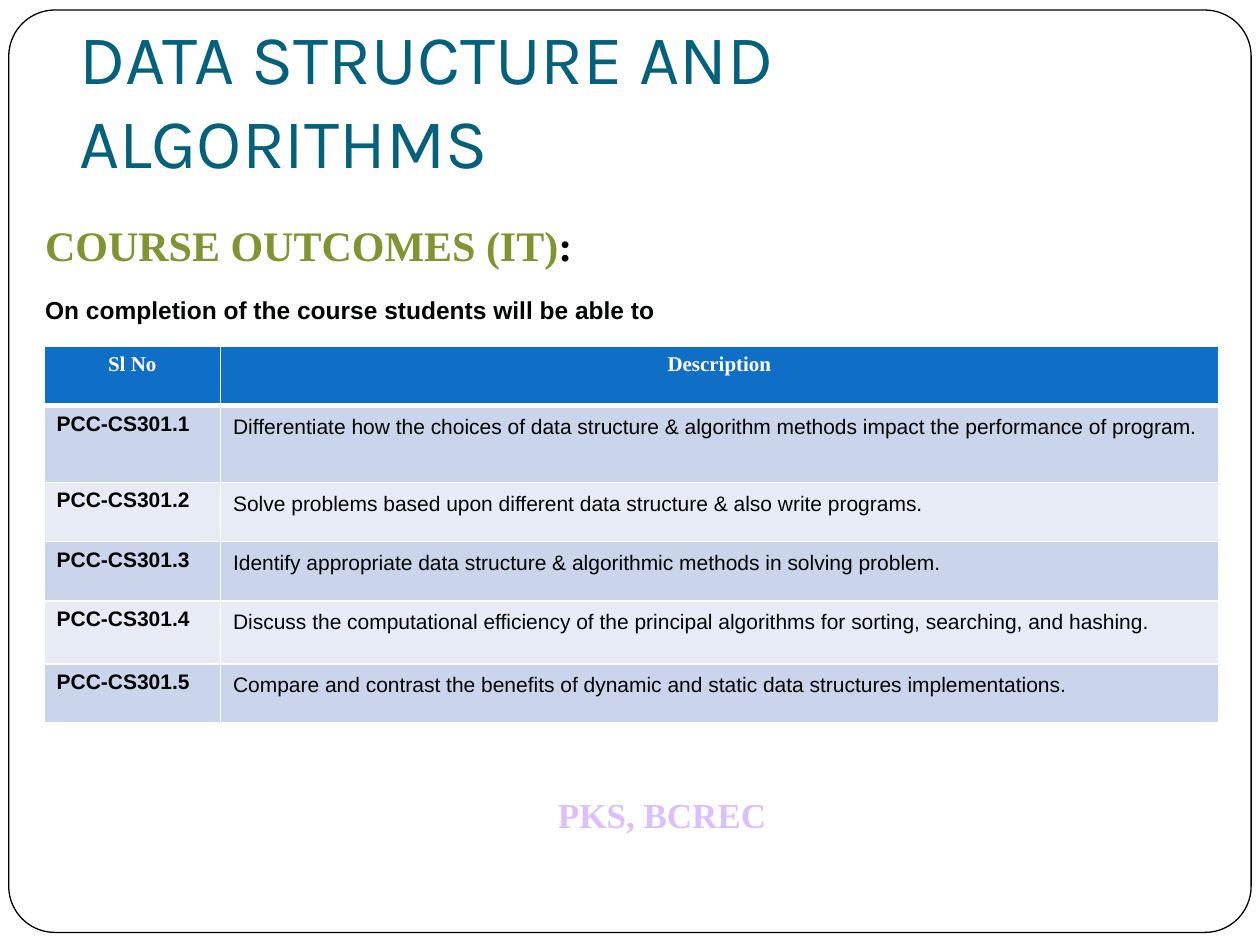
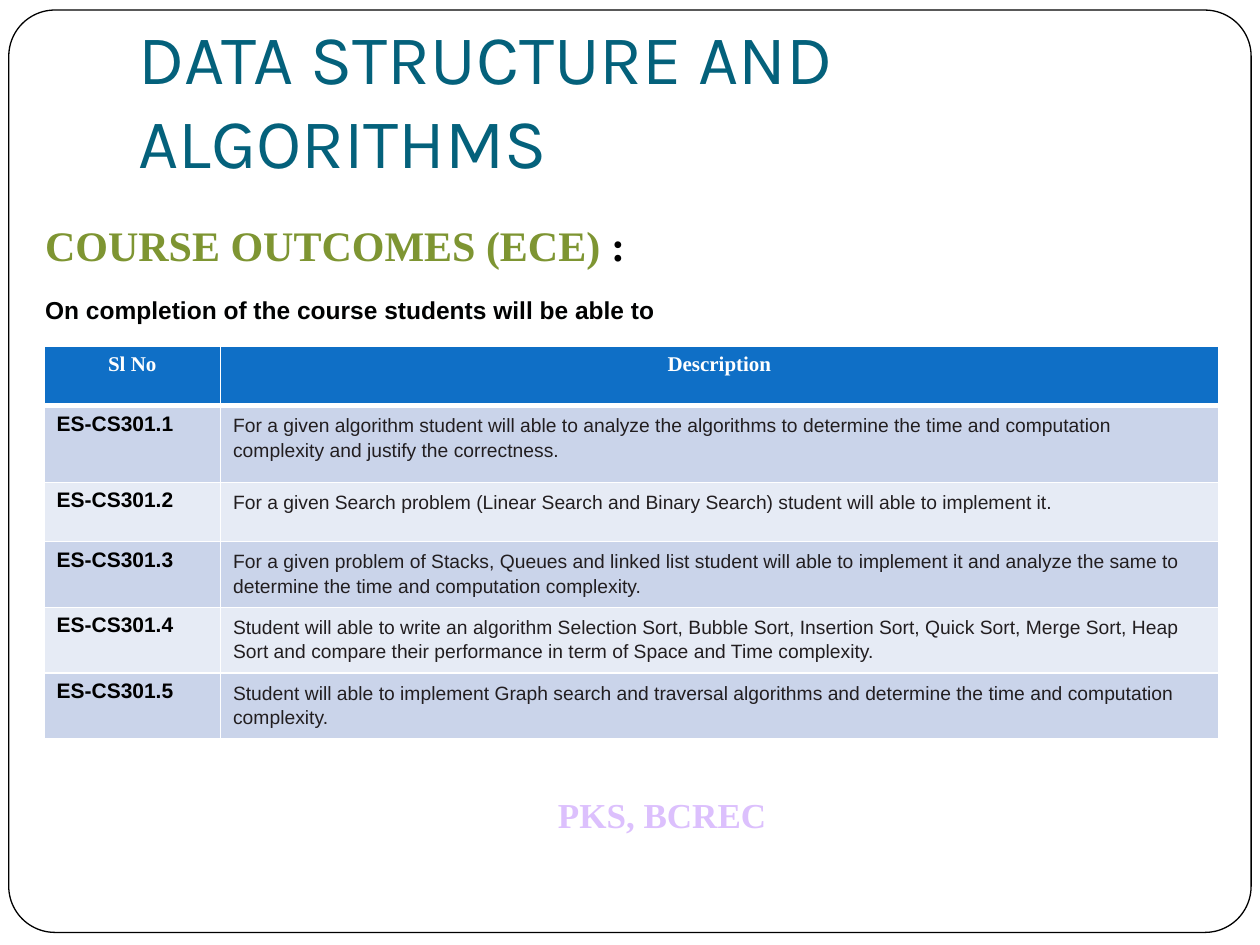
from lxml.etree import SubElement
from pptx import Presentation
from pptx.dml.color import RGBColor
from pptx.enum.shapes import MSO_SHAPE
from pptx.enum.text import MSO_ANCHOR, PP_ALIGN
from pptx.oxml.ns import qn
from pptx.util import Inches, Pt

WHITE = RGBColor(0xFF, 0xFF, 0xFF)
BLACK = RGBColor(0x00, 0x00, 0x00)
INK = RGBColor(0x01, 0x02, 0x02)
GREY = RGBColor(0x22, 0x1E, 0x20)
TEAL = RGBColor(0x04, 0x61, 0x7B)
OLIVE = RGBColor(0x7E, 0x95, 0x32)
LILAC = RGBColor(0xDC, 0xC0, 0xFD)
BLUE = RGBColor(0x0F, 0x6F, 0xC6)
BANDS = RGBColor(0xE6, 0xEB, 0xF5), RGBColor(0xCA, 0xD4, 0xEA)

SERIF, SANS, HEAD = "Times New Roman", "Arial", "Karla"
COLS, ROWS = 100, 75
WIDTHS = 14, 79.2
HEIGHTS = 4.7, 6.1, 4.7, 4.7, 5, 4.7


def write(para, text, size=12, font=SANS, color=BLACK, bold=False,
          align=None, lead=None, before=None, after=None):
    run = para.add_run()
    run.text = text
    face = run.font
    face.size, face.name, face.bold = Pt(size), font, bold
    face.color.rgb = color
    if align is not None:
        para.alignment = align
    if lead:
        para.line_spacing = lead
    if before:
        para.space_before = Pt(before)
    if after:
        para.space_after = Pt(after)


class Deck:
    def __init__(self):
        self.show = Presentation()
        self.show.slide_width, self.show.slide_height = Inches(10), Inches(7.5)
        self.slide = None

    def col(self, count):
        return int(self.show.slide_width * count / COLS)

    def row(self, count):
        return int(self.show.slide_height * count / ROWS)

    def area(self, left, top, wide, high):
        return self.col(left), self.row(top), self.col(wide), self.row(high)

    def page(self):
        self.slide = self.show.slides.add_slide(self.show.slide_layouts[6])
        self.frame()
        write(self.text(43.3, 62.5, 21, 4.4).paragraphs[0], "PKS, BCREC",
              size=20, font=SERIF, color=LILAC, bold=True)

    def frame(self):
        edge = self.slide.shapes.add_shape(
            MSO_SHAPE.ROUNDED_RECTANGLE, *self.area(0.7, 0.8, 98.6, 73.2))
        edge.adjustments[0] = 0.05
        edge.shadow.inherit = False
        edge.fill.solid()
        edge.fill.fore_color.rgb = WHITE
        edge.line.color.rgb = BLACK
        edge.line.width = Pt(0.75)

    def text(self, *area):
        body = self.slide.shapes.add_textbox(*self.area(*area)).text_frame
        body.word_wrap = True
        return body

    def title(self, left):
        body = self.text(left, 3, 95 - left, 12.5)
        body.vertical_anchor = MSO_ANCHOR.BOTTOM
        body.margin_bottom = self.row(1)
        write(body.paragraphs[0], "DATA STRUCTURE AND ALGORITHMS",
              size=40, font=HEAD, color=TEAL)

    def intro(self, label, wide):
        body = self.text(2.6, 16.9, wide, 6.4)
        for part, color in (label, OLIVE), (":", BLACK):
            write(body.paragraphs[0], part, size=24, font=SERIF,
                  color=color, bold=True)
        write(body.add_paragraph(),
              "On completion of the course students will be able to",
              size=14, color=INK, bold=True, lead=1.15, before=12, after=12)

    def cell(self, cell, fill, top=1, base=1):
        cell.fill.solid()
        cell.fill.fore_color.rgb = fill
        props = cell._tc.get_or_add_tcPr()
        sides = ("a:lnL", 1), ("a:lnR", 1), ("a:lnT", top), ("a:lnB", base)
        for spot, (tag, size) in enumerate(sides):
            line = SubElement(props, qn(tag), w=str(Pt(size)))
            paint = SubElement(line, qn("a:solidFill"))
            SubElement(paint, qn("a:srgbClr"), val=str(WHITE))
            props.insert(spot, line)

    def table(self, code, goals, size, color):
        grid = self.slide.shapes.add_table(
            len(goals) + 1, 2,
            *self.area(3.5, 27.5, sum(WIDTHS), sum(HEIGHTS))).table
        for column, wide in zip(grid.columns, WIDTHS):
            column.width = self.col(wide)
        for line, high in zip(grid.rows, HEIGHTS):
            line.height = self.row(high)
        for spot, name in enumerate(("Sl No", "Description")):
            cell = grid.cell(0, spot)
            self.cell(cell, BLUE, base=3)
            write(cell.text_frame.paragraphs[0], name, font=SERIF,
                  color=WHITE, bold=True, align=PP_ALIGN.CENTER)
        for num, goal in enumerate(goals, 1):
            key, note = grid.cell(num, 0), grid.cell(num, 1)
            for cell in key, note:
                self.cell(cell, BANDS[num % 2], top=3 if num == 1 else 1)
            write(key.text_frame.paragraphs[0], f"{code}.{num}", bold=True)
            write(note.text_frame.paragraphs[0], goal, size=size, color=color,
                  lead=1.15, before=12, after=12)


IT_GOALS = (
    "Differentiate how the choices of data structure & algorithm methods "
    "impact the performance of program.",
    "Solve problems based upon different data structure & also write programs.",
    "Identify appropriate data structure & algorithmic methods in solving problem.",
    "Discuss the computational efficiency of the principal algorithms for "
    "sorting, searching, and hashing.",
    "Compare and contrast the benefits of dynamic and static data structures "
    "implementations.",
)
ECE_GOALS = (
    "For a given algorithm student will able to analyze the algorithms to "
    "determine the time and computation complexity and justify the correctness.",
    "For a given Search problem (Linear Search and Binary Search) student "
    "will able to implement it.",
    "For a given problem of Stacks, Queues and linked list student will able "
    "to implement it and analyze the same to determine the time and "
    "computation complexity.",
    "Student will able to write an algorithm Selection Sort, Bubble Sort, "
    "Insertion Sort, Quick Sort, Merge Sort, Heap Sort and compare their "
    "performance in term of Space and Time complexity.",
    "Student will able to implement Graph search and traversal algorithms "
    "and determine the time and computation complexity.",
)


def main():
    deck = Deck()
    deck.page()
    deck.title(5.3)
    deck.intro("COURSE OUTCOMES (IT)", 53.7)
    deck.table("PCC-CS301", IT_GOALS, 12, INK)
    deck.page()
    deck.title(10)
    deck.intro("COURSE OUTCOMES (ECE) ", 55.4)
    deck.table("ES-CS301", ECE_GOALS, 11, GREY)
    deck.show.save("out.pptx")


if __name__ == "__main__":
    main()
